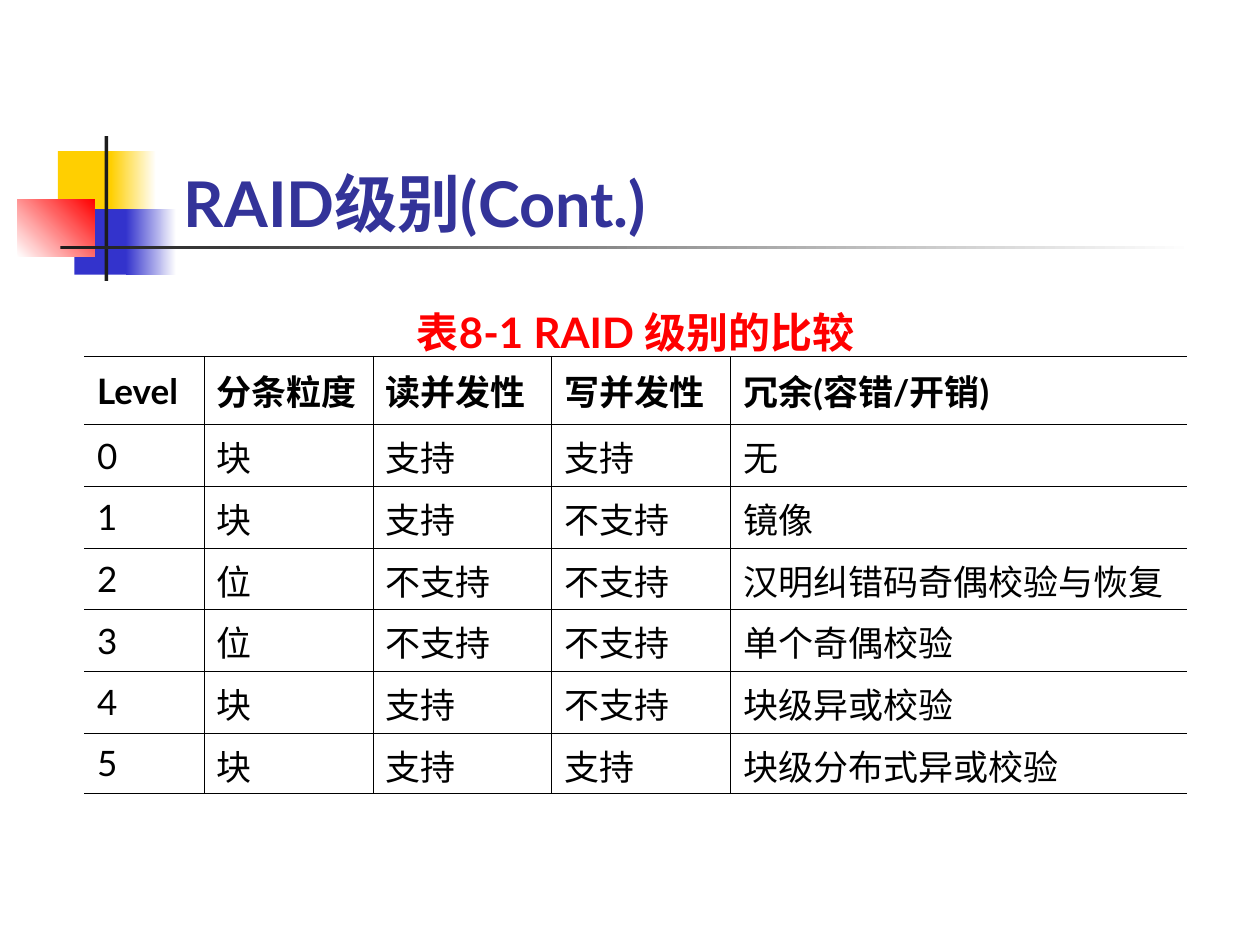
import pptx
import pptx.util
import pptx.dml.color
import pptx.enum.shapes
import pptx.enum.text
import pptx.oxml.ns
import lxml.etree

Inches = pptx.util.Inches
Pt = pptx.util.Pt
FONT = "Lato"
BLACK = "000000"
THIN, THICK = 0.45, 1.08

BLOCKS = [
    ((0.46, 1.2, 0.48, 0.52), ["FFCF01"], 0),
    ((0.88, 1.2, 0.36, 0.52), ["FFCF01", "FFFFFF"], 0),
    ((0.59, 1.66, 0.46, 0.52), ["3333CC"], 0),
    ((1, 1.66, 0.4, 0.52), ["3333CC", "FFFFFF"], 0),
    ((0.14, 1.58, 0.61, 0.46), ["FFFFFF", "FF0000"], 45),
    ((0.83, 1.08, 0.03, 1.15), ["1C1C1C"], 0),
    ((0.48, 1.95, 9, 0.03), ["1C1C1C", "FFFFFF"], 0),
]
COLS = [0.95, 1.34, 1.42, 1.42, 3.62]
ROWS = [0.49, 0.54] + [0.49] * 5 + [0.48]
LEVELS = [
    ["Level", "分条粒度", "读并发性", "写并发性", "冗余(容错/开销)"],
    ["0", "块", "支持", "支持", "无"],
    ["1", "块", "支持", "不支持", "镜像"],
    ["2", "位", "不支持", "不支持", "汉明纠错码奇偶校验与恢复"],
    ["3", "位", "不支持", "不支持", "单个奇偶校验"],
    ["4", "块", "支持", "不支持", "块级异或校验"],
    ["5", "块", "支持", "支持", "块级分布式异或校验"],
]


def paint(color, code):
    """Set a colour from a hex string."""
    color.rgb = pptx.dml.color.RGBColor.from_string(code)


def add_run(para, text, size, code, bold):
    """Add one styled run to a paragraph."""
    run = para.add_run()
    run.text = text
    run.font.name = FONT
    run.font.size = Pt(size)
    run.font.bold = bold
    paint(run.font.color, code)


def add_block(slide, box, codes, angle):
    """Add a rectangle with a solid or a two-colour fill."""
    kind = pptx.enum.shapes.MSO_SHAPE.RECTANGLE
    shape = slide.shapes.add_shape(kind, *map(Inches, box))
    shape.shadow.inherit = False
    shape.line.fill.background()
    if len(codes) == 1:
        shape.fill.solid()
        paint(shape.fill.fore_color, codes[0])
    else:
        shape.fill.gradient()
        shape.fill.gradient_angle = angle
        for stop, code in zip(shape.fill.gradient_stops, codes):
            paint(stop.color, code)


def add_title(slide, text):
    """Add the slide title, resting on the rule below it."""
    box = slide.shapes.add_textbox(*map(Inches, (1.46, 1.31, 6.1, 0.6)))
    frame = box.text_frame
    frame.word_wrap = True
    frame.auto_size = pptx.enum.text.MSO_AUTO_SIZE.SHAPE_TO_FIT_TEXT
    frame.vertical_anchor = pptx.enum.text.MSO_ANCHOR.BOTTOM
    frame.margin_left = frame.margin_right = 0
    frame.margin_top = frame.margin_bottom = 0
    add_run(frame.paragraphs[0], text, 36, "333399", True)


def set_edge(cell, side, width):
    """Draw one cell border, or none when the width is zero."""
    qn = pptx.oxml.ns.qn
    props = cell._tc.get_or_add_tcPr()
    line = lxml.etree.SubElement(props, qn("a:ln" + side), w=str(Pt(width)))
    if width:
        fill = lxml.etree.SubElement(line, qn("a:solidFill"))
        lxml.etree.SubElement(fill, qn("a:srgbClr"), val=BLACK)
    else:
        lxml.etree.SubElement(line, qn("a:noFill"))


def set_edges(cell, row, col):
    """Rule a cell by its place: heavy round the head and at the foot."""
    rules = [0, THICK, THICK] + [THIN] * (len(ROWS) - 3) + [THICK]
    inner = THIN if row else 0
    set_edge(cell, "L", inner if col else 0)
    set_edge(cell, "R", inner if col < len(COLS) - 1 else 0)
    set_edge(cell, "T", rules[row])
    set_edge(cell, "B", rules[row + 1])
    cell.fill.background()


def add_table(slide, title, data):
    """Add the ruled table with its title in a merged top row."""
    box = (0.67, 2.33, sum(COLS), sum(ROWS))
    frame = slide.shapes.add_table(len(ROWS), len(COLS), *map(Inches, box))
    table = frame.table
    table.first_row = table.horz_banding = False
    for col, width in zip(table.columns, COLS):
        col.width = Inches(width)
    for row, height in zip(table.rows, ROWS):
        row.height = Inches(height)
    for row in range(len(ROWS)):
        for col in range(len(COLS)):
            set_edges(table.cell(row, col), row, col)
    head = table.cell(0, 0)
    head.merge(table.cell(0, len(COLS) - 1))
    para = head.text_frame.paragraphs[0]
    para.alignment = pptx.enum.text.PP_ALIGN.CENTER
    add_run(para, title, 24, "FF0000", True)
    for row, texts in enumerate(data, 1):
        for col, text in enumerate(texts):
            cell = table.cell(row, col)
            cell.vertical_anchor = pptx.enum.text.MSO_ANCHOR.MIDDLE
            para = cell.text_frame.paragraphs[0]
            add_run(para, text, 20, BLACK, row == 1)


def main():
    """Build the slide and save it."""
    deck = pptx.Presentation()
    deck.slide_width, deck.slide_height = Inches(10), Inches(7.5)
    slide = deck.slides.add_slide(deck.slide_layouts[6])
    for block in BLOCKS:
        add_block(slide, *block)
    add_title(slide, "RAID级别(Cont.)")
    add_table(slide, "表8-1 RAID 级别的比较", LEVELS)
    deck.save("out.pptx")


if __name__ == "__main__":
    main()
